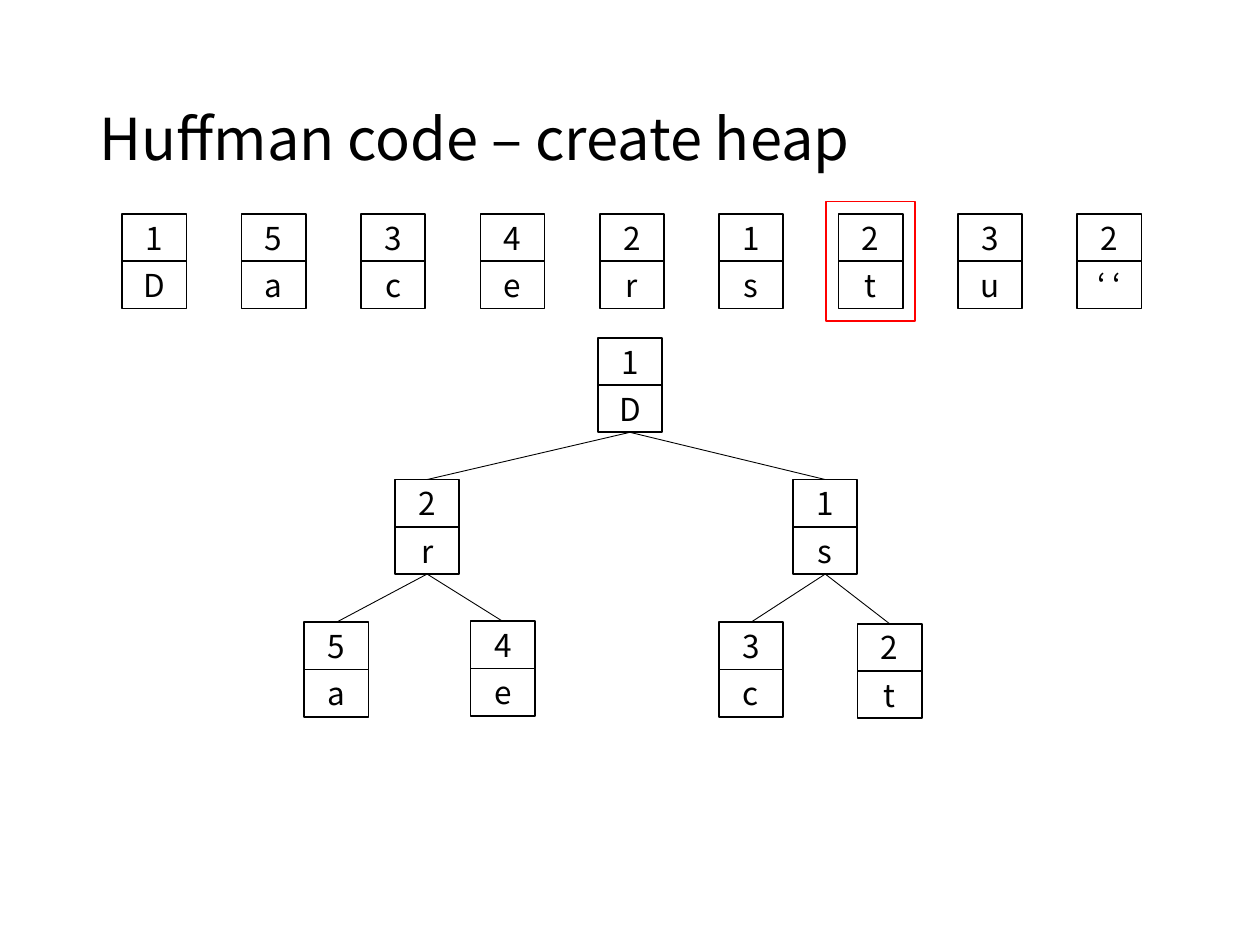
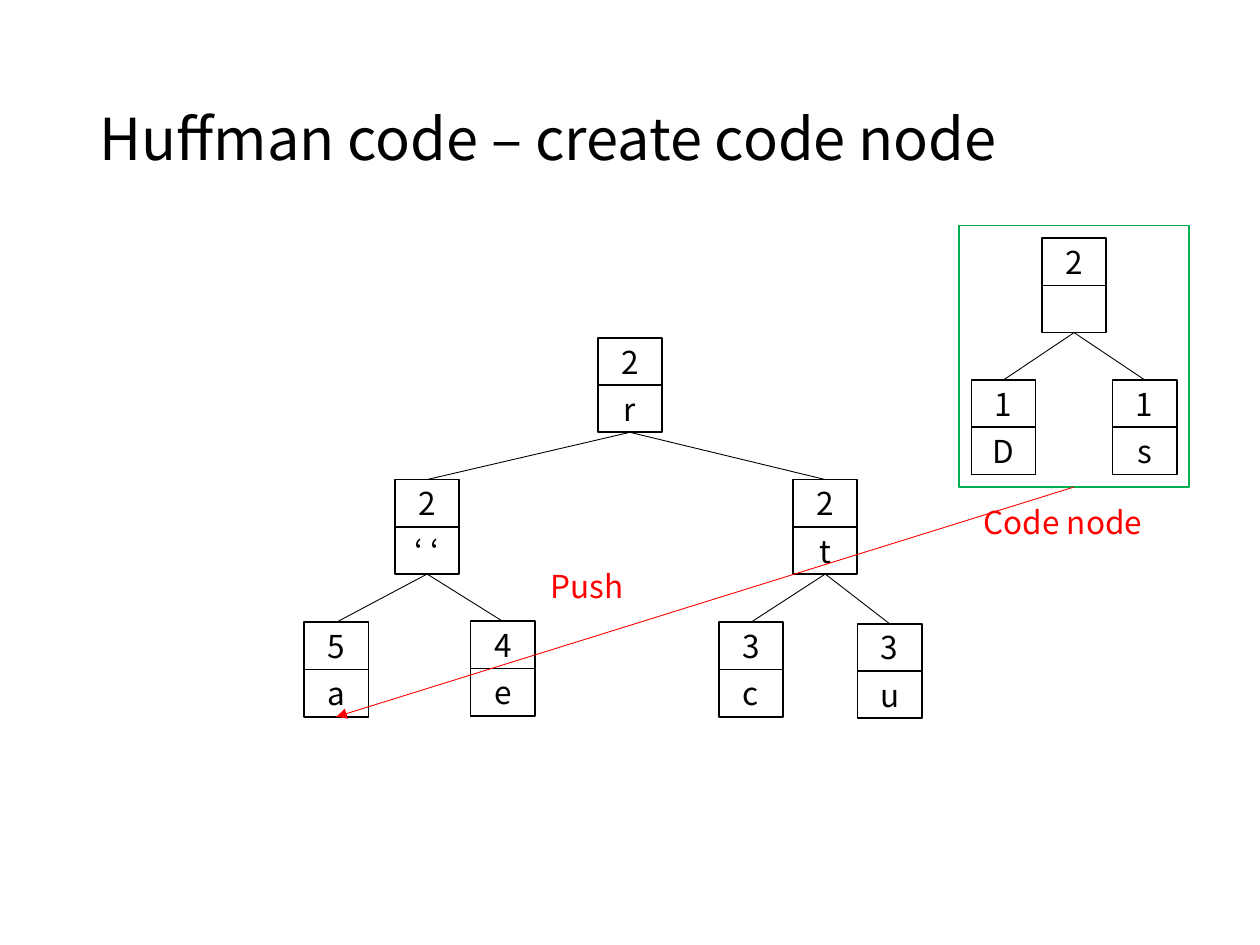
from dataclasses import dataclass

from lxml.etree import SubElement
from pptx import Presentation
from pptx.dml.color import RGBColor
from pptx.enum.shapes import MSO_CONNECTOR, MSO_SHAPE
from pptx.enum.text import MSO_ANCHOR, PP_ALIGN
from pptx.oxml.ns import qn
from pptx.util import Inches, Pt


@dataclass(frozen=True)
class Theme:
    """Colours and type sizes shared by the slides."""
    font: str = "Noto Sans CJK KR"
    ink: RGBColor = RGBColor(0, 0, 0)
    paper: RGBColor = RGBColor(255, 255, 255)
    accent: RGBColor = RGBColor(255, 0, 0)
    code: RGBColor = RGBColor(0, 0xB0, 0x50)
    title_size: Pt = Pt(33)
    text_size: Pt = Pt(18)
    border: Pt = Pt(1)
    edge: Pt = Pt(0.5)


THEME = Theme()
WIDTH, HEIGHT = Inches(10), Inches(7.5)
COLUMN, ROW = WIDTH / 100, HEIGHT / 20  # one cell of a node is one row high
NODE_COLUMNS = 5.1
FRAME_MARGIN = Inches(0.1)
TOP, BOTTOM = 0, 2  # connection sites of a rectangle

# Node centre in columns and top in rows, level by level.
HEAP_PLACES = [(50, 7.15), (33.9, 10.15), (65.5, 10.15),
               (26.7, 13.17), (39.9, 13.15), (59.6, 13.17), (70.6, 13.2)]
CODE_PLACES = [(85.25, 5.04), (79.65, 8.04), (90.85, 8.04)]

LETTERS = [("1", "D"), ("5", "a"), ("3", "c"), ("4", "e"), ("2", "r"),
           ("1", "s"), ("2", "t"), ("3", "u"), ("2", "‘ ‘")]
FULL_HEAP = [("1", "D"), ("2", "r"), ("1", "s"),
             ("5", "a"), ("4", "e"), ("3", "c"), ("2", "t")]
REST_HEAP = [("2", "r"), ("2", "‘ ‘"), ("2", "t"),
             ("5", "a"), ("4", "e"), ("3", "c"), ("3", "u")]
CODE_NODE = [("2", ""), ("1", "D"), ("1", "s")]


def apply(target, values):
    """Set every attribute named in values on target."""
    for name, value in values.items():
        setattr(target, name, value)


def write(shape, text, size, color, frame_format, paragraph_format):
    """Put one line of formatted text into a shape."""
    frame = shape.text_frame
    apply(frame, {"word_wrap": True, **frame_format})
    paragraph = frame.paragraphs[0]
    apply(paragraph, paragraph_format)
    if text:
        run = paragraph.add_run()
        run.text = text
        apply(run.font, {"name": THEME.font, "size": size})
        run.font.color.rgb = color


def add_text(shapes, box, text, size, color, frame_format=None,
             paragraph_format=None):
    """Add a text box; box is left, width in columns and top, height in rows."""
    left, top, width, height = box
    label = shapes.add_textbox(int(left * COLUMN), int(top * ROW),
                               int(width * COLUMN), int(height * ROW))
    write(label, text, size, color, frame_format or {}, paragraph_format or {})


def add_label(shapes, left, top, text):
    """Add a red annotation at a column and a row."""
    add_text(shapes, (left, top, 15.7, 1.07), text,
             THEME.text_size, THEME.accent)


def add_rectangle(shapes, left, top, width, height, line_color):
    """Add an unfilled, outlined rectangle."""
    rectangle = shapes.add_shape(MSO_SHAPE.RECTANGLE, int(left), int(top),
                                 int(width), int(height))
    rectangle.shadow.inherit = False
    rectangle.fill.background()
    rectangle.line.color.rgb = line_color
    rectangle.line.width = THEME.border
    return rectangle


def add_node(shapes, center, top, entry):
    """Add a count above its letter; return the group and its two cells."""
    node = shapes.add_group_shape()
    cells = []
    for row, text in enumerate(entry):
        cell = add_rectangle(node.shapes, (center - NODE_COLUMNS / 2) * COLUMN,
                             (top + row) * ROW, NODE_COLUMNS * COLUMN, ROW,
                             THEME.ink)
        cell.fill.solid()
        cell.fill.fore_color.rgb = THEME.paper
        write(cell, text, THEME.text_size, THEME.ink,
              {"vertical_anchor": MSO_ANCHOR.MIDDLE, "margin_left": 0,
               "margin_right": 0, "margin_top": 0, "margin_bottom": 0},
              {"alignment": PP_ALIGN.CENTER})
        cells.append(cell)
    return node, cells


def site_point(shape, site):
    """Return the top or bottom middle of a shape."""
    return (shape.left + shape.width // 2,
            shape.top + (shape.height if site == BOTTOM else 0))


def connect(shapes, start, end, end_site=TOP, color=THEME.ink, arrow=False):
    """Join the bottom of start to a site of end."""
    edge = shapes.add_connector(MSO_CONNECTOR.STRAIGHT,
                                *site_point(start, BOTTOM),
                                *site_point(end, end_site))
    edge.begin_connect(start, BOTTOM)
    edge.end_connect(end, end_site)
    edge.line.color.rgb = color
    edge.line.width = THEME.edge
    if arrow:
        SubElement(edge.line._get_or_add_ln(), qn("a:tailEnd"), type="triangle")
    SubElement(edge._element.spPr, qn("a:effectLst"))


def add_tree(shapes, places, entries):
    """Add a binary tree given in level order; return its nodes."""
    nodes = [add_node(shapes, *place, entry)
             for place, entry in zip(places, entries)]
    for child in range(1, len(nodes)):
        _, parent_cells = nodes[(child - 1) // 2]
        _, child_cells = nodes[child]
        connect(shapes, parent_cells[1], child_cells[0])
    return nodes


def add_frame(shapes, groups, color):
    """Outline the area that the groups cover, with a margin."""
    left = min(group.left for group in groups) - FRAME_MARGIN
    top = min(group.top for group in groups) - FRAME_MARGIN
    right = max(group.left + group.width for group in groups) + FRAME_MARGIN
    bottom = max(group.top + group.height for group in groups) + FRAME_MARGIN
    return add_rectangle(shapes, left, top, right - left, bottom - top, color)


def add_titled_slide(deck, title):
    """Add a blank slide with a title and return its shapes."""
    shapes = deck.slides.add_slide(deck.slide_layouts[6]).shapes
    add_text(shapes, (6.9, 1.07, 86.2, 3.87), title,
             THEME.title_size, THEME.ink,
             {"vertical_anchor": MSO_ANCHOR.MIDDLE}, {"line_spacing": 0.9})
    return shapes


def build_heap_slide(deck):
    """Show the letter counts and the heap while t is pushed."""
    shapes = add_titled_slide(deck, "Huffman code – create heap")
    letters = {}
    for index, entry in enumerate(LETTERS):
        center = 12.25 + 9.475 * index
        letters[entry[1]], _ = add_node(shapes, center, 4.53, entry)
    add_frame(shapes, [letters["t"]], THEME.accent)
    add_tree(shapes, HEAP_PLACES, FULL_HEAP)


def build_code_node_slide(deck):
    """Show the two smallest nodes joined and pushed back on the heap."""
    shapes = add_titled_slide(deck, "Huffman code – create code node")
    heap = add_tree(shapes, HEAP_PLACES, REST_HEAP)
    code_shapes = shapes.add_group_shape().shapes
    code_tree = add_tree(code_shapes, CODE_PLACES, CODE_NODE)
    code_frame = add_frame(code_shapes, [node for node, _ in code_tree],
                           THEME.code)
    add_label(shapes, 77.1, 10.51, "Code node")
    _, first_leaf_cells = heap[3]
    connect(shapes, code_frame, first_leaf_cells[1], BOTTOM, THEME.accent,
            arrow=True)
    add_label(shapes, 42.7, 11.87, "Push")


def main():
    """Build and save the presentation."""
    deck = Presentation()
    apply(deck, {"slide_width": WIDTH, "slide_height": HEIGHT})
    build_heap_slide(deck)
    build_code_node_slide(deck)
    deck.save("out.pptx")


main()
